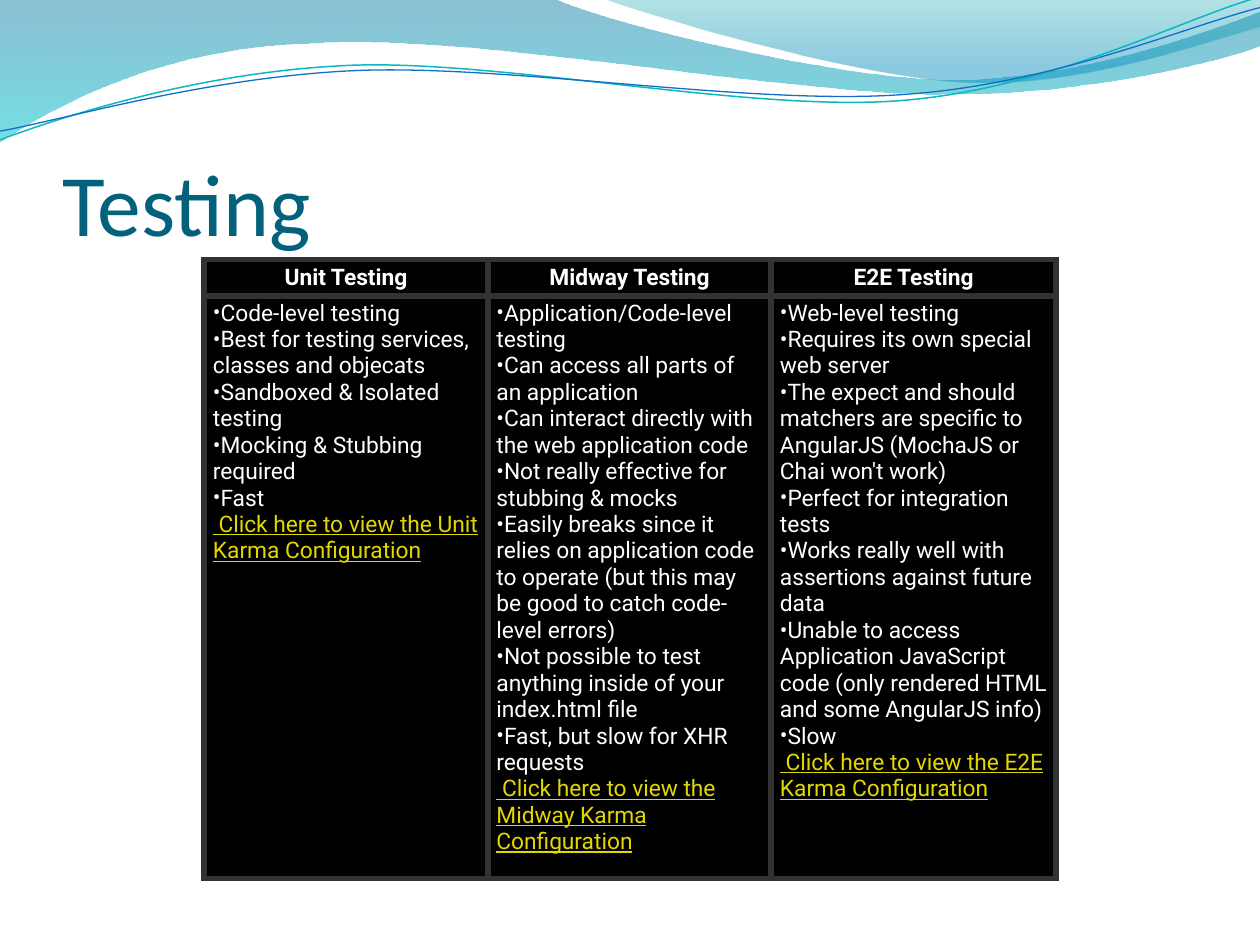
from dataclasses import dataclass
from lxml.etree import SubElement
from pptx import Presentation
from pptx.dml.color import RGBColor
from pptx.enum.text import MSO_ANCHOR, PP_ALIGN
from pptx.oxml.ns import qn
from pptx.util import Pt

WHITE = RGBColor(0xFF, 0xFF, 0xFF)
BLACK = RGBColor(0x00, 0x00, 0x00)
EDGE = RGBColor(0x32, 0x32, 0x32)
YELLOW = RGBColor(0xE2, 0xD7, 0x00)
NAVY = RGBColor(0x04, 0x61, 0x7B)
BLUE = RGBColor(0x0F, 0x6F, 0xC6)
AQUA = RGBColor(0x0A, 0xB8, 0xBF)
GRAIN = 100  # path units in a point


@dataclass
class Stop:
    place: float
    color: RGBColor
    alpha: int


@dataclass
class Wave:
    """Each leg holds one point for a line or three for a curve."""
    start: tuple
    legs: list
    stops: tuple = ()
    color: RGBColor = None
    width: float = 0


@dataclass
class Topic:
    name: str
    width: float
    points: list
    link: str


WAVES = [
    Wave((0, 0), [
        [(316.8, -0.7)],
        [(342.7, 12.2), (478.1, 45.4), (545.8, 45.4)],
        [(614.2, 45.4), (689.8, 18.7), (720, 6.5)],
        [(720.7, 25.9)],
        [(707.8, 31.7), (626.4, 54.7), (537.1, 54)],
        [(447.8, 54), (275, 20.2), (185, 24.5)],
        [(92.9, 25.9), (33.1, 59.8), (-0.7, 81.4)],
    ], stops=(Stop(0, RGBColor(0x00, 0x74, 0xA1), 45),
              Stop(1, RGBColor(0x00, 0xC6, 0xCF), 55))),
    Wave((344.9, -0.7), [
        [(366.5, 7.9), (491, 44.6), (553.7, 46.8)],
        [(616.3, 49.7), (691.9, 23), (720, 15.1)],
        [(720, 0)],
    ], stops=(Stop(0, RGBColor(0x00, 0xA1, 0xA9), 30),
              Stop(0.8, RGBColor(0x00, 0x8B, 0xBF), 45))),
    Wave((0, 79.9), [
        [(34.6, 67), (113.8, 41), (199.4, 37.4)],
        [(284.4, 33.8), (427, 64.1), (513.4, 57.6)],
        [(599.8, 51.1), (675.4, 10.8), (718.6, -1.4)],
    ], color=AQUA, width=0.85),
    Wave((0, 74.9), [
        [(33.8, 69.1), (118.1, 43.9), (203.8, 40.3)],
        [(290.2, 36.7), (429.8, 60.5), (516.2, 54)],
        [(601.9, 48.2), (677.5, 15.1), (720, 4.3)],
    ], color=BLUE, width=0.75),
]

TOPICS = [
    Topic("Unit Testing", 162, [
        "Code-level testing",
        "Best for testing services, classes and objecats",
        "Sandboxed & Isolated testing",
        "Mocking & Stubbing required",
        "Fast",
    ], " Click here to view the Unit Karma Configuration"),
    Topic("Midway Testing", 162, [
        "Application/Code-level testing",
        "Can access all parts of an application",
        "Can interact directly with the web application code",
        "Not really effective for stubbing & mocks",
        "Easily breaks since it relies on application code to operate "
        "(but this may be good to catch code-level errors)",
        "Not possible to test anything inside of your index.html file",
        "Fast, but slow for XHR requests",
    ], " Click here to view the Midway Karma Configuration"),
    Topic("E2E Testing", 162.7, [
        "Web-level testing",
        "Requires its own special web server",
        "The expect and should matchers are specific to AngularJS "
        "(MochaJS or Chai won't work)",
        "Perfect for integration tests",
        "Works really well with assertions against future data",
        "Unable to access Application JavaScript code "
        "(only rendered HTML and some AngularJS info)",
        "Slow",
    ], " Click here to view the E2E Karma Configuration"),
]


def write(frame, text: str, *, size=13, font="Roboto", color=WHITE, bold=False,
          line=False, bullet=False, align=PP_ALIGN.LEFT) -> None:
    """Fill the empty first paragraph, or add one below."""
    para = frame.paragraphs[0] if not frame.text else frame.add_paragraph()
    para.alignment = align
    run = para.add_run()
    run.text = text
    face = run.font
    face.size, face.name, face.bold, face.underline = Pt(size), font, bold, line
    face.color.rgb = color
    if bullet:
        props = para._p.get_or_add_pPr()
        props.set("marL", "0")
        props.set("indent", "0")
        SubElement(props, qn("a:buFont"), typeface=font)
        SubElement(props, qn("a:buChar"), char="•")


def bend(shape, wave: Wave) -> None:
    """Turn the straight parts of the outline into its curves."""
    ends = [wave.start] + [leg[-1] for leg in wave.legs]
    left, top = (min(axis) for axis in zip(*ends))
    parts = list(shape._element.iter(qn("a:lnTo")))
    for part, leg in zip(parts, wave.legs):
        if len(leg) == 1:
            continue
        part.remove(part[0])
        part.tag = qn("a:cubicBezTo")
        for x, y in leg:
            SubElement(part, qn("a:pt"), x=str(round((x - left) * GRAIN)),
                       y=str(round((y - top) * GRAIN)))


def draw_wave(slide, wave: Wave) -> None:
    x, y = wave.start
    form = slide.shapes.build_freeform(x * GRAIN, y * GRAIN, scale=Pt(1) / GRAIN)
    form.add_line_segments([(x * GRAIN, y * GRAIN) for *_, (x, y) in wave.legs],
                           close=bool(wave.stops))
    shape = form.convert_to_shape()
    bend(shape, wave)
    shape.shadow.inherit = False
    if not wave.stops:
        shape.fill.background()
        shape.line.color.rgb = wave.color
        shape.line.width = Pt(wave.width)
        return
    shape.line.fill.background()
    shape.fill.gradient()
    shape.fill.gradient_angle = 270
    for stop, want in zip(shape.fill.gradient_stops, wave.stops):
        stop.position = want.place
        stop.color.rgb = want.color
    for tint, want in zip(shape._element.spPr.iter(qn("a:srgbClr")), wave.stops):
        SubElement(tint, qn("a:alpha"), val=str(want.alpha * 1000))


def style_cell(cell, anchor) -> None:
    cell.margin_left = cell.margin_right = Pt(5)
    cell.margin_top = cell.margin_bottom = Pt(2.5)
    cell.vertical_anchor = anchor
    props = cell._tc.get_or_add_tcPr()
    for side in "LRTB":
        edge = SubElement(props, qn(f"a:ln{side}"), w=str(Pt(3.75)))
        SubElement(SubElement(edge, qn("a:solidFill")), qn("a:srgbClr"), val=str(EDGE))
    cell.fill.solid()
    cell.fill.fore_color.rgb = BLACK


def draw_table(slide, topics: list) -> None:
    width = sum(topic.width for topic in topics)
    table = slide.shapes.add_table(2, len(topics), Pt(116.7), Pt(148.3),
                                   Pt(width), Pt(345.4)).table
    table.rows[0].height, table.rows[1].height = Pt(20), Pt(325.4)
    for col, topic in enumerate(topics):
        table.columns[col].width = Pt(topic.width)
        head, body = table.cell(0, col), table.cell(1, col)
        style_cell(head, MSO_ANCHOR.BOTTOM)
        style_cell(body, MSO_ANCHOR.TOP)
        write(head.text_frame, topic.name, bold=True, align=PP_ALIGN.CENTER)
        for point in topic.points:
            write(body.text_frame, point, bullet=True)
        write(body.text_frame, topic.link, color=YELLOW, line=True)


def main() -> None:
    deck = Presentation()
    deck.slide_width, deck.slide_height = Pt(720), Pt(540)
    slide = deck.slides.add_slide(deck.slide_layouts[6])

    # Waves along the top
    for wave in WAVES:
        draw_wave(slide, wave)

    # Title
    frame = slide.shapes.add_textbox(Pt(36), Pt(55.4), Pt(648), Pt(90)).text_frame
    frame.word_wrap = True
    frame.vertical_anchor = MSO_ANCHOR.BOTTOM
    frame.margin_left = frame.margin_right = frame.margin_bottom = 0
    write(frame, "Testing", size=50, font="Calibri", color=NAVY)

    # Comparison of the kinds of testing
    draw_table(slide, TOPICS)
    deck.save("out.pptx")


if __name__ == "__main__":
    main()
